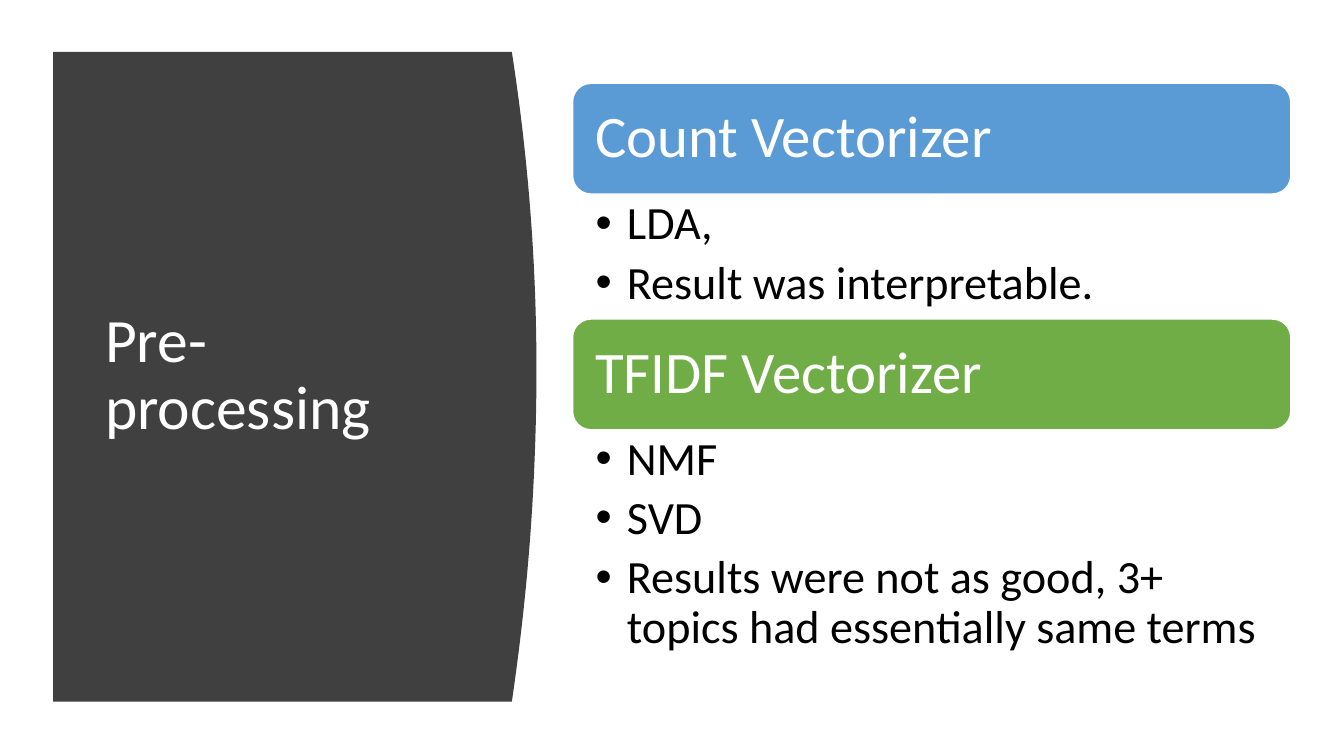
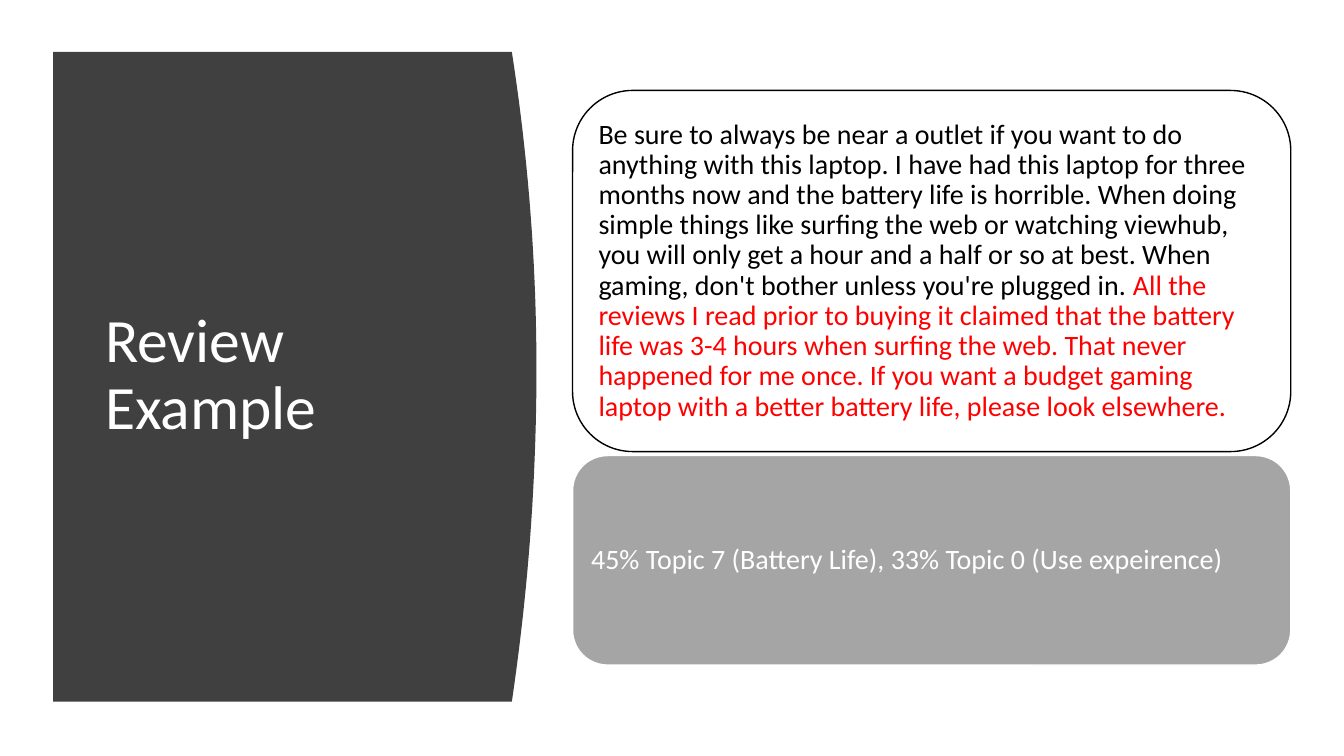
from pptx import Presentation, util as u
from pptx.dml.color import RGBColor
from pptx.enum import shapes, text
from pptx.oxml.ns import qn
from lxml import etree

WHITE = RGBColor(255, 255, 255)
BLACK = RGBColor(0, 0, 0)
DARK = RGBColor(0x40, 0x40, 0x40)
BLUE = RGBColor(0x5B, 0x9B, 0xD5)
GREEN = RGBColor(0x70, 0xAD, 0x47)
GREY = RGBColor(0xA5, 0xA5, 0xA5)
RED = RGBColor(255, 0, 0)
FONT = "Calibri"

HEAD = dict(size=42, after=14, pad=(0.43, 0.43, 0.43, 0.43))
LIST = dict(size=33, after=6.6, pad=(0.58, 0.15, 0.84, 0.15), bullet=True,
            anchor=text.MSO_ANCHOR.TOP)
NOTE = dict(size=20, after=7, pad=(0.21, 0.21, 0.21, 0.21))

REVIEW = [
    ("Be sure to always be near a outlet if you want to do anything with this laptop. "
     "I have had this laptop for three months now and the battery life is horrible. "
     "When doing simple things like surfing the web or watching viewhub, you will only "
     "get a hour and a half or so at best. When gaming, don't bother unless you're "
     "plugged in. ", BLACK),
    ("All the reviews I read prior to buying it claimed that the battery life was 3-4 "
     "hours when surfing the web. That never happened for me once. If you want a budget "
     "gaming laptop with a better battery life, please look elsewhere.", RED),
]
TOPICS = "45% Topic 7 (Battery Life), 33% Topic 0 (Use expeirence)"

SLIDES = [
    ("Pre-processing", 2.1, 0, [
        (2.79, BLUE, WHITE, [[("Count Vectorizer", WHITE)]], HEAD),
        (3.15, None, None, [[("LDA,", BLACK)],
                            [("Result was interpretable.", BLACK)]], LIST),
        (2.79, GREEN, WHITE, [[("TFIDF Vectorizer", WHITE)]], HEAD),
        (6.05, None, None, [[("NMF", BLACK)], [("SVD", BLACK)],
                            [("Results were not as good, 3+ topics had "
                              "essentially same terms", BLACK)]], LIST),
    ]),
    ("Review Example", 2.28, 0.1, [
        (9.1, WHITE, BLACK, [REVIEW], NOTE),
        (5.28, GREY, WHITE, [[(TOPICS, WHITE)]], NOTE),
    ]),
]

LEFT, WIDE = 14.43, 18.1
EDGE, TOP, SIDE, BULGE, BASE = 1.34, 1.31, 12.9, 13.52, 17.68
PEAK = 9.3
STEPS = 40


def write(shape, paras, size, after=0, pad=(0.25, 0.13, 0.25, 0.13),
          bullet=False, anchor=text.MSO_ANCHOR.MIDDLE):
    frame = shape.text_frame
    frame.word_wrap = True
    frame.auto_size = text.MSO_AUTO_SIZE.NONE
    frame.vertical_anchor = anchor
    (frame.margin_left, frame.margin_top,
     frame.margin_right, frame.margin_bottom) = map(u.Cm, pad)
    for i, runs in enumerate(paras):
        para = frame.add_paragraph() if i else frame.paragraphs[0]
        para.alignment = text.PP_ALIGN.LEFT
        para.line_spacing = 0.9
        para.space_after = u.Pt(after)
        if bullet:
            props = para._p.get_or_add_pPr()
            props.set("marL", str(u.Cm(0.79)))
            props.set("indent", str(-u.Cm(0.79)))
            etree.SubElement(props, qn("a:buFont")).set("typeface", "Arial")
            etree.SubElement(props, qn("a:buChar")).set("char", "•")
        for words, color in runs:
            run = para.add_run()
            run.text = words
            run.font.name = FONT
            run.font.size = u.Pt(size)
            run.font.color.rgb = color


def panel(slide):
    curve = []
    for i in range(STEPS + 1):
        y = TOP + (BASE - TOP) * i / STEPS
        end = TOP if y < PEAK else BASE
        t = (y - PEAK) / (end - PEAK)
        curve.append((u.Cm(BULGE - (BULGE - SIDE) * t * t), u.Cm(y)))
    pen = slide.shapes.build_freeform(u.Cm(EDGE), u.Cm(TOP))
    pen.add_line_segments(curve + [(u.Cm(EDGE), u.Cm(BASE))], close=True)
    shape = pen.convert_to_shape()
    shape.shadow.inherit = False
    shape.fill.solid()
    shape.fill.fore_color.rgb = DARK
    shape.line.fill.background()


def heading(slide, words):
    title = slide.shapes.title
    slide.shapes._spTree.append(title._element)
    title.left, title.top = u.Cm(2.4), u.Cm(2.82)
    title.width, title.height = u.Cm(9.5), u.Cm(13.31)
    write(title, [[(words, WHITE)]], size=44)


def block(slide, top, high, fill, line, paras, style):
    box = [u.Cm(v) for v in (LEFT, top, WIDE, high)]
    if fill is None:
        shape = slide.shapes.add_textbox(*box)
    else:
        shape = slide.shapes.add_shape(shapes.MSO_SHAPE.ROUNDED_RECTANGLE, *box)
        shape.shadow.inherit = False
        shape.fill.solid()
        shape.fill.fore_color.rgb = fill
        shape.line.color.rgb = line
        shape.line.width = u.Pt(1)
    write(shape, paras, **style)


def main():
    deck = Presentation()
    deck.slide_width, deck.slide_height = u.Cm(33.87), u.Cm(19.05)
    for words, top, gap, rows in SLIDES:
        slide = deck.slides.add_slide(deck.slide_layouts[5])
        panel(slide)
        heading(slide, words)
        for high, *rest in rows:
            block(slide, top, high, *rest)
            top += high + gap
    deck.save("out.pptx")


if __name__ == "__main__":
    main()
